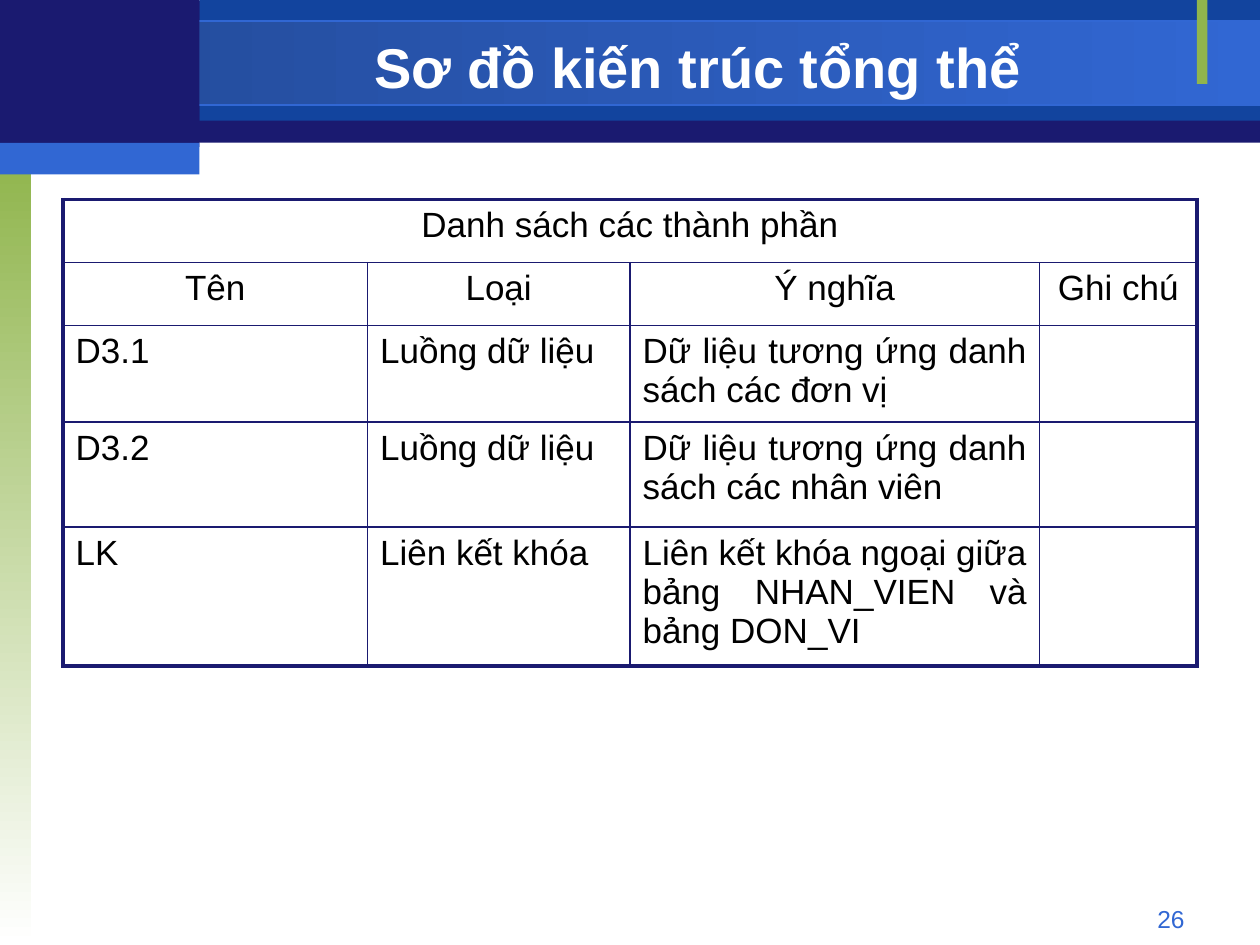
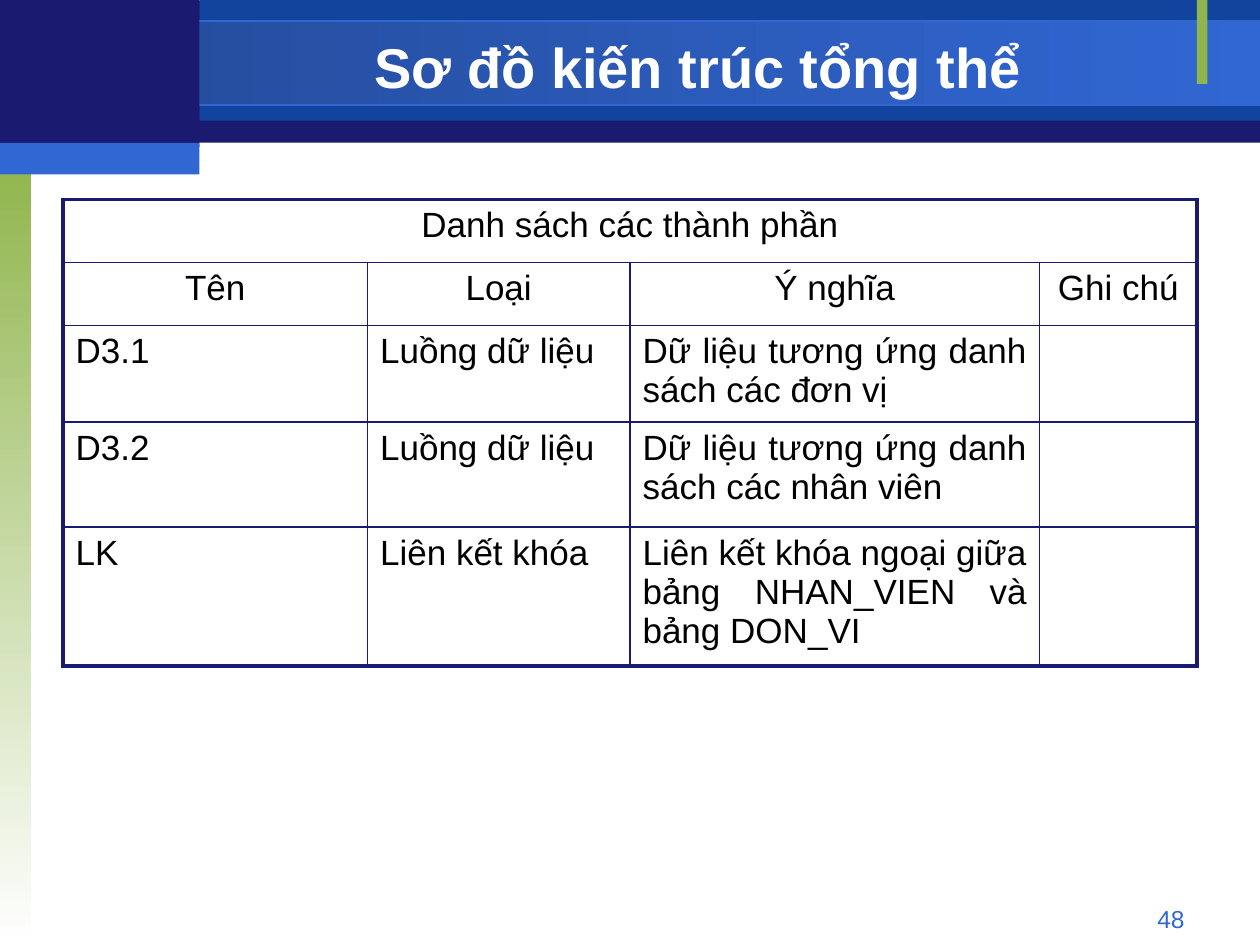
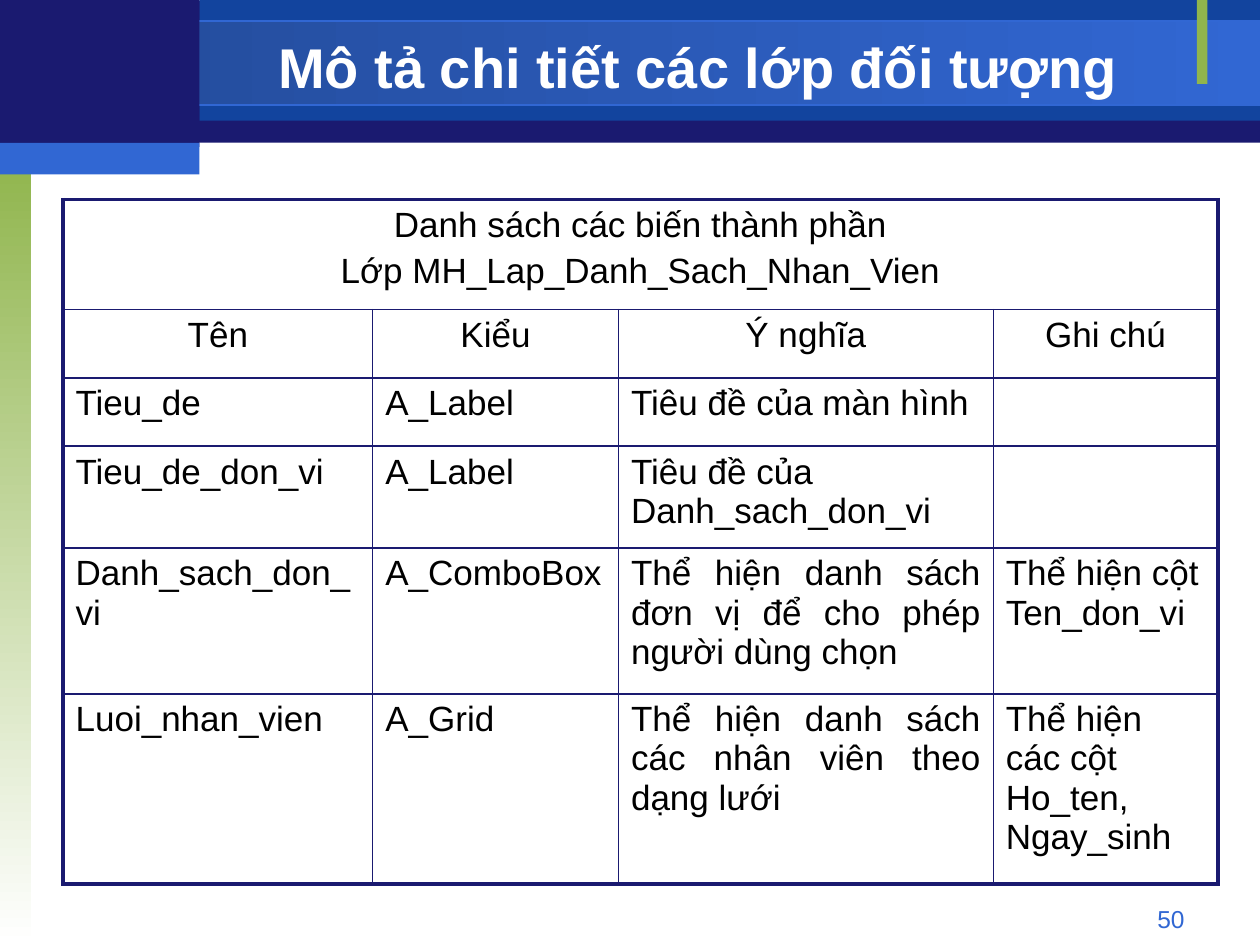
from lxml.etree import SubElement
from pptx import Presentation
from pptx.dml.color import RGBColor
from pptx.enum.shapes import MSO_SHAPE
from pptx.enum.text import MSO_ANCHOR, PP_ALIGN
from pptx.oxml.ns import qn
from pptx.util import Inches, Pt

NAVY = RGBColor(0x1A, 0x1A, 0x70)
ROYAL = RGBColor(0x12, 0x44, 0x9E)
DEEP_BLUE = RGBColor(0x23, 0x4A, 0x97)
BRIGHT_BLUE = RGBColor(0x31, 0x67, 0xD3)
GREEN = RGBColor(0x90, 0xB5, 0x4D)
WHITE = RGBColor(0xFF, 0xFF, 0xFF)
BLACK = RGBColor(0x00, 0x00, 0x00)

FONT = "Arial"
GRID_COLUMNS, GRID_ROWS = 120, 90
OUTER_BORDER, INNER_BORDER = Pt(2.25), Pt(1)
LEFT, CENTER, RIGHT, JUSTIFY = PP_ALIGN.LEFT, PP_ALIGN.CENTER, PP_ALIGN.RIGHT, PP_ALIGN.JUSTIFY

ARCHITECTURE_TITLE = "Sơ đồ kiến trúc tổng thể"
ARCHITECTURE_TABLE = {
    "caption": "Danh sách các thành phần",
    "rows": [
        ["Tên", "Loại", "Ý nghĩa", "Ghi chú"],
        ["D3.1", "Luồng dữ liệu", "Dữ liệu tương ứng danh sách các đơn vị", ""],
        ["D3.2", "Luồng dữ liệu", "Dữ liệu tương ứng danh sách các nhân viên", ""],
        ["LK", "Liên kết khóa", "Liên kết khóa ngoại giữa bảng NHAN_VIEN và bảng DON_VI", ""],
    ],
    "widths": [29, 25, 39, 15],
    "heights": [6, 6, 9.2, 10, 13.2],
    "justified_from": 2,
}
CLASS_TITLE = "Mô tả chi tiết các lớp đối tượng"
CLASS_TABLE = {
    "caption": "Danh sách các biến thành phần\nLớp MH_Lap_Danh_Sach_Nhan_Vien",
    "rows": [
        ["Tên", "Kiểu", "Ý nghĩa", "Ghi chú"],
        ["Tieu_de", "A_Label", "Tiêu đề của màn hình", ""],
        ["Tieu_de_don_vi", "A_Label", "Tiêu đề của Danh_sach_don_vi", ""],
        ["Danh_sach_don_vi", "A_ComboBox",
         "Thể hiện danh sách đơn vị để cho phép người dùng chọn",
         "Thể hiện cột Ten_don_vi"],
        ["Luoi_nhan_vien", "A_Grid",
         "Thể hiện danh sách các nhân viên theo dạng lưới",
         "Thể hiện các cột Ho_ten, Ngay_sinh"],
    ],
    "widths": [29.5, 23.4, 35.7, 21.4],
    "heights": [10.5, 6.5, 6.5, 9.7, 13.9, 18.1],
    "justified_from": 4,
}


class Deck:
    def __init__(self):
        self.presentation = Presentation()
        self.presentation.slide_width = Inches(10)
        self.presentation.slide_height = Inches(7.5)
        self.slide = None

    def across(self, columns):
        return round(self.presentation.slide_width * columns / GRID_COLUMNS)

    def down(self, rows):
        return round(self.presentation.slide_height * rows / GRID_ROWS)

    def place(self, left, top, width, height):
        return self.across(left), self.down(top), self.across(width), self.down(height)

    def band(self, area, color, fade_to=None, angle=0, outline=None):
        shape = self.slide.shapes.add_shape(MSO_SHAPE.RECTANGLE, *self.place(*area))
        shape.shadow.inherit = False
        if fade_to is None:
            shape.fill.solid()
            shape.fill.fore_color.rgb = color
        else:
            shape.fill.gradient()
            shape.fill.gradient_angle = angle
            for stop, stop_color in zip(shape.fill.gradient_stops, (color, fade_to)):
                stop.color.rgb = stop_color
        if outline is None:
            shape.line.fill.background()
        else:
            shape.line.color.rgb = outline
            shape.line.width = Pt(0.75)

    def fill_text(self, text_frame, text, size, color, alignment, bold=False):
        text_frame.text = text
        for index, paragraph in enumerate(text_frame.paragraphs):
            paragraph.alignment = alignment
            if index:
                paragraph.space_before = Pt(size * 0.2)
            for run in paragraph.runs:
                run.font.name = FONT
                run.font.size = Pt(size)
                run.font.bold = bold
                run.font.color.rgb = color

    def text_box(self, area, text, size, color, alignment, anchor=MSO_ANCHOR.TOP, bold=False):
        text_frame = self.slide.shapes.add_textbox(*self.place(*area)).text_frame
        text_frame.word_wrap = True
        text_frame.vertical_anchor = anchor
        self.fill_text(text_frame, text, size, color, alignment, bold)

    def borders(self, cell, outer_sides):
        properties = cell._tc.get_or_add_tcPr()
        for position, side in enumerate("LRTB"):
            width = OUTER_BORDER if side in outer_sides else INNER_BORDER
            line = SubElement(properties, qn(f"a:ln{side}"), w=str(width))
            fill = SubElement(line, qn("a:solidFill"))
            SubElement(fill, qn("a:srgbClr"), val=str(NAVY))
            properties.insert(position, line)

    def table(self, left, top, caption, rows, widths, heights, justified_from):
        area = self.place(left, top, sum(widths), sum(heights))
        table = self.slide.shapes.add_table(len(heights), len(widths), *area).table
        table.first_row = table.horz_banding = False
        for column, width in zip(table.columns, widths):
            column.width = self.across(width)
        for row, height in zip(table.rows, heights):
            row.height = self.down(height)
        table.cell(0, 0).merge(table.cell(0, len(widths) - 1))
        caption_row = [caption] + [""] * (len(widths) - 1)
        for row_index, texts in enumerate([caption_row] + rows):
            for column_index, text in enumerate(texts):
                cell = table.cell(row_index, column_index)
                cell.fill.background()
                edges = {
                    "L": column_index == 0,
                    "R": row_index == 0 or column_index == len(widths) - 1,
                    "T": row_index == 0,
                    "B": row_index == len(heights) - 1,
                }
                self.borders(cell, [side for side, outer in edges.items() if outer])
                if row_index < 2:
                    alignment = CENTER
                elif column_index == 2 and row_index >= justified_from:
                    alignment = JUSTIFY
                else:
                    alignment = LEFT
                if text:
                    self.fill_text(cell.text_frame, text, 20, BLACK, alignment)

    def start_slide(self, title, number):
        self.slide = self.presentation.slides.add_slide(self.presentation.slide_layouts[6])
        self.band((0, 0.1, 120, 13.5), NAVY)
        self.band((19, 0, 101, 11.5), ROYAL)
        self.band((0, 2, 120, 8), DEEP_BLUE, BRIGHT_BLUE, outline=BRIGHT_BLUE)
        self.band((0, 15, 3, 75), GREEN, WHITE, angle=270)
        self.band((114, 0, 1, 8), GREEN)
        self.band((0, 0, 19, 14), NAVY)
        self.band((0, 13.6, 19, 3), BRIGHT_BLUE)
        self.text_box((86, 85.5, 28, 3.2), number, 14, BRIGHT_BLUE, RIGHT)
        self.text_box((19, 2.8, 95, 7), title, 32, WHITE, CENTER, MSO_ANCHOR.MIDDLE, True)


def main():
    deck = Deck()
    for title, number, content in (
        (ARCHITECTURE_TITLE, "26", ARCHITECTURE_TABLE),
        (ARCHITECTURE_TITLE, "48", ARCHITECTURE_TABLE),
        (CLASS_TITLE, "50", CLASS_TABLE),
    ):
        deck.start_slide(title, number)
        deck.table(6, 19, **content)
    deck.presentation.save("out.pptx")


if __name__ == "__main__":
    main()
